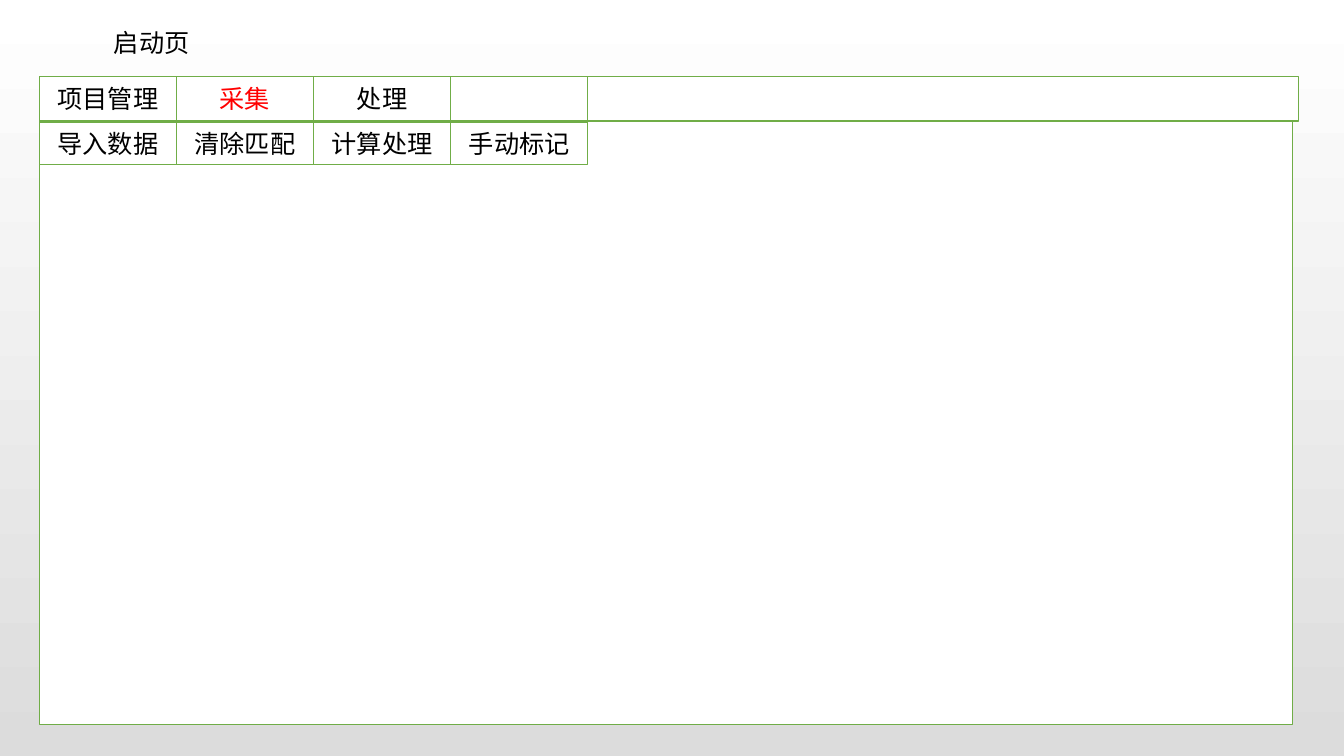
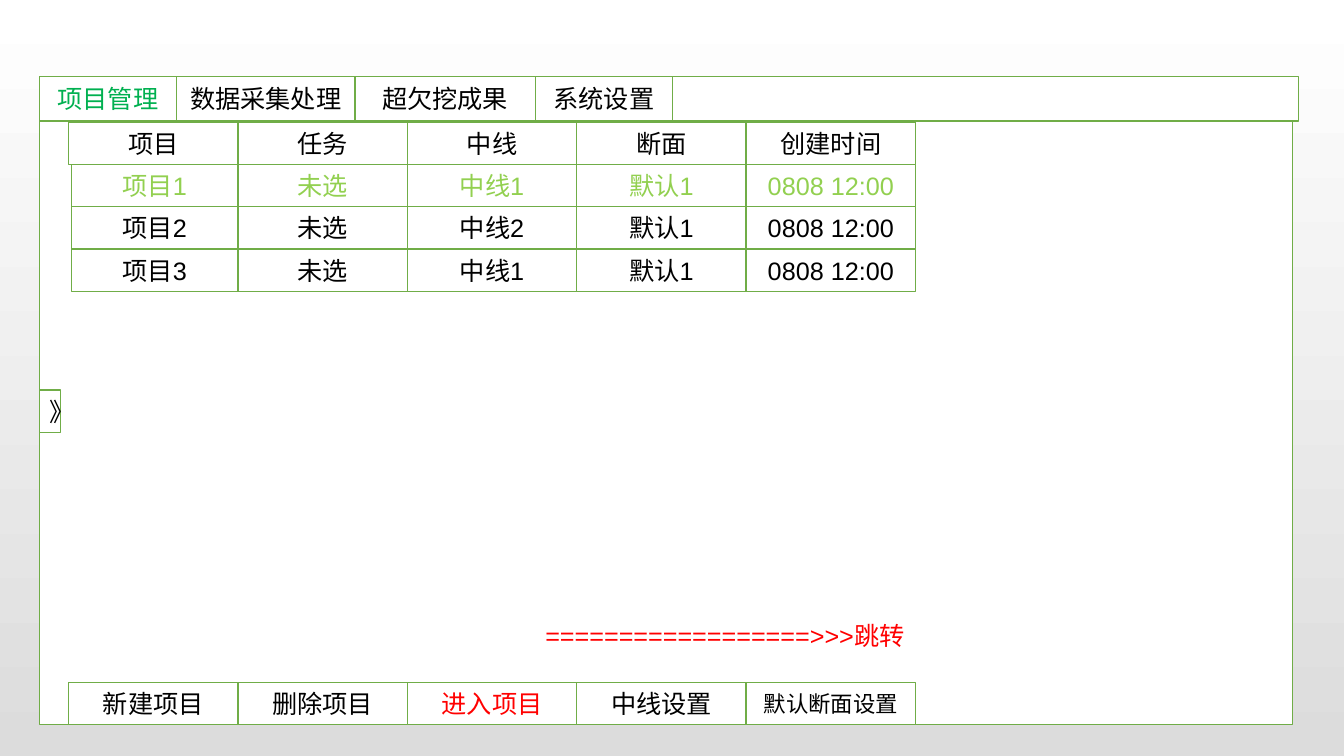
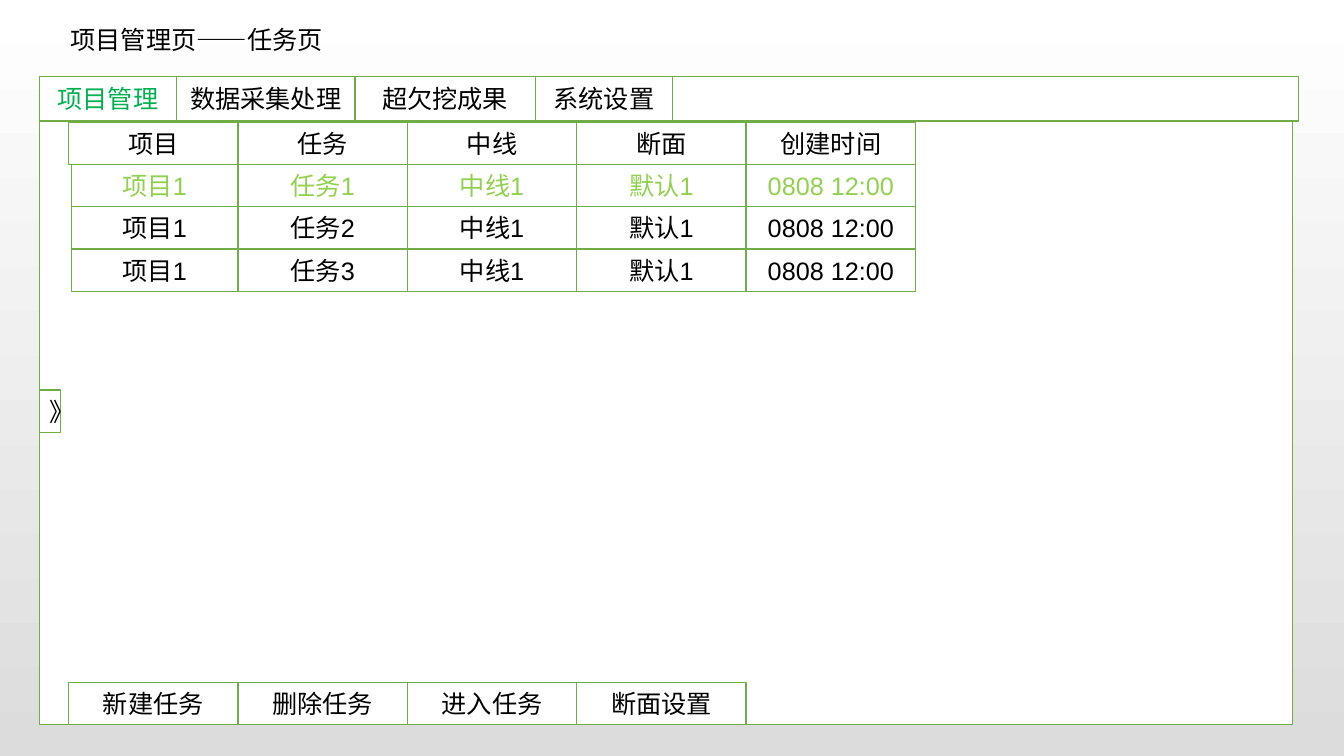
from pptx import Presentation
from pptx.dml.color import RGBColor
from pptx.enum.shapes import MSO_SHAPE
from pptx.enum.text import MSO_ANCHOR, PP_ALIGN
from pptx.util import Inches, Pt

RECT = MSO_SHAPE.RECTANGLE
TOP, MIDDLE = MSO_ANCHOR.TOP, MSO_ANCHOR.MIDDLE
LEFT, CENTER = PP_ALIGN.LEFT, PP_ALIGN.CENTER
TITLE_ONLY, BLANK = 5, 6

COLORS = {
    "white": "FFFFFF",
    "shade": "DCDCDC",
    "border": "70AD47",
    "text": "000000",
    "alert": "FF0000",
    "active": "00B050",
    "selected": "92D050",
}
FONT = "Arial"

# Window box (left, top, width, height) and the parts inside it, in inches
WINDOW = (0.39, 0.76, 12.43, 6.43)
BAR_W, BAR_H = 12.49, 0.44
TAB_W, ROW_H, COL_W = 1.36, 0.42, 1.68
CONTENT_DX, CONTENT_DY = 0.29, 0.45
ROW_INDENT = 0.03

PROJECT_TABS = ["项目管理", "数据采集处理", "超欠挖成果", "系统设置"]
PROJECT_TAB_WIDTHS = [TAB_W, 1.77, 1.79, TAB_W]
HEADER = ["项目", "任务", "中线", "断面", "创建时间"]


def color(name):
    return RGBColor.from_string(COLORS[name])


def inches(*values):
    return [Inches(v) for v in values]


def set_text(tf, text, name="text", size=18, align=CENTER, anchor=MIDDLE):
    tf.text = text
    tf.vertical_anchor = anchor
    p = tf.paragraphs[0]
    p.alignment = align
    for r in p.runs:
        r.font.name = FONT
        r.font.size = Pt(size)
        r.font.color.rgb = color(name)


def add_box(slide, x, y, w, h, text="", name="text", size=18):
    sp = slide.shapes.add_shape(RECT, *inches(x, y, w, h))
    sp.shadow.inherit = False
    sp.fill.solid()
    sp.fill.fore_color.rgb = color("white")
    sp.line.color.rgb = color("border")
    sp.line.width = Pt(1)
    if text:
        set_text(sp.text_frame, text, name, size)


def add_strip(slide, x, y, h, labels, widths, marks=None, sizes=None):
    """Row of touching boxes; marks and sizes map a label to its colour or size."""
    marks, sizes = marks or {}, sizes or {}
    for label, w in zip(labels, widths):
        add_box(slide, x, y, w, h, label, marks.get(label, "text"), sizes.get(label, 18))
        x += w


def add_title(slide, x, y, w, text):
    sp = slide.shapes.title
    sp.left, sp.top, sp.width, sp.height = inches(x, y, w, 0.4)
    set_text(sp.text_frame, text, align=LEFT, anchor=TOP)


def add_window(slide, box, tabs, widths, marks):
    x, y, w, h = box
    add_box(slide, x, y, w, h)
    add_box(slide, x, y, BAR_W, BAR_H)
    add_strip(slide, x, y, BAR_H, tabs, widths, marks)


def add_list(slide, x, y, rows):
    """Header strip and slightly indented rows, the first of them selected."""
    widths = [COL_W] * len(HEADER)
    add_strip(slide, x, y, ROW_H, HEADER, widths)
    widths[0] -= ROW_INDENT
    for i, row in enumerate(rows):
        marks = dict.fromkeys(row, "selected") if i == 0 else None
        add_strip(slide, x + ROW_INDENT, y + ROW_H * (i + 1), ROW_H, row, widths, marks)


def add_manager(slide, box, rows, buttons, marks=None, sizes=None):
    """Project window: tabs, list, drawer handle and bottom buttons."""
    x, y, _, h = box
    add_window(slide, box, PROJECT_TABS, PROJECT_TAB_WIDTHS, {"项目管理": "active"})
    add_list(slide, x + CONTENT_DX, y + CONTENT_DY, rows)
    add_box(slide, x, y + 3.11, 0.21, ROW_H, "》")
    add_strip(slide, x + CONTENT_DX, y + h - ROW_H, ROW_H, buttons,
              [COL_W] * len(buttons), marks, sizes)


def build_start(slide):
    x, y, _, _ = WINDOW
    widths = [TAB_W] * 4
    add_title(slide, 1.03, 0.22, 1.21, "启动页")
    add_window(slide, WINDOW, ["项目管理", "采集", "处理", ""], widths, {"采集": "alert"})
    add_strip(slide, x, y + CONTENT_DY, ROW_H,
              ["导入数据", "清除匹配", "计算处理", "手动标记"], widths)


def build_projects(slide):
    rows = [[f"项目{i}", "未选", f"中线{line}", "默认1", "0808 12:00"]
            for i, line in enumerate((1, 2, 1), 1)]
    add_manager(slide, WINDOW, rows,
                ["新建项目", "删除项目", "进入项目", "中线设置", "默认断面设置"],
                {"进入项目": "alert"}, {"默认断面设置": 16})
    tf = slide.shapes.add_textbox(*inches(5.31, 6.1, 4.18, 0.4)).text_frame
    tf.word_wrap = True
    set_text(tf, "==================>>>跳转", "alert", align=LEFT, anchor=TOP)


def build_tasks(slide):
    rows = [["项目1", f"任务{i}", "中线1", "默认1", "0808 12:00"] for i in range(1, 4)]
    add_title(slide, 0.6, 0.19, 3.6, "项目管理页——任务页")
    add_manager(slide, WINDOW, rows, ["新建任务", "删除任务", "进入任务", "断面设置"])


def set_background(master):
    fill = master.background.fill
    fill.gradient()
    fill.gradient_angle = 270
    for stop, name in zip(fill.gradient_stops, ("white", "shade")):
        stop.color.rgb = color(name)


def main():
    prs = Presentation()
    prs.slide_width, prs.slide_height = inches(13.33, 7.5)
    set_background(prs.slide_master)
    pages = [(TITLE_ONLY, build_start), (BLANK, build_projects), (TITLE_ONLY, build_tasks)]
    for layout, build in pages:
        build(prs.slides.add_slide(prs.slide_layouts[layout]))
    prs.save("out.pptx")


if __name__ == "__main__":
    main()
